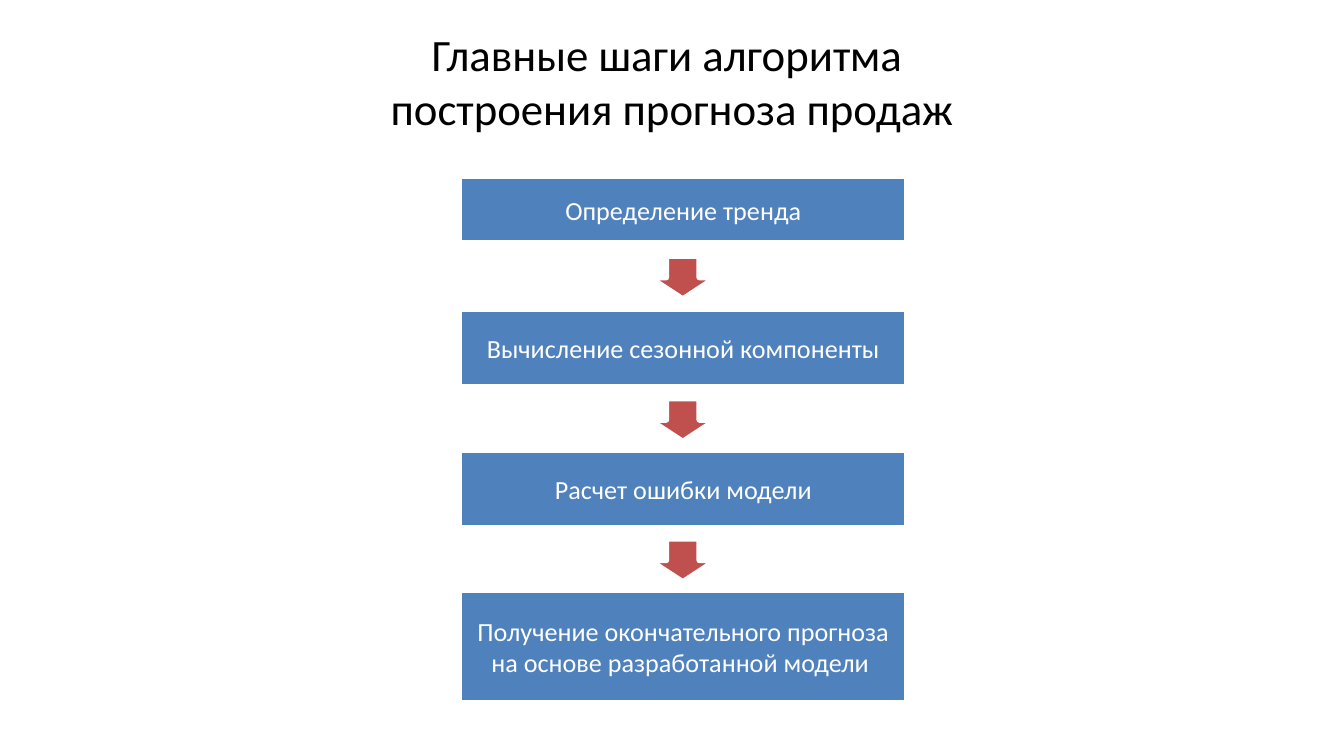
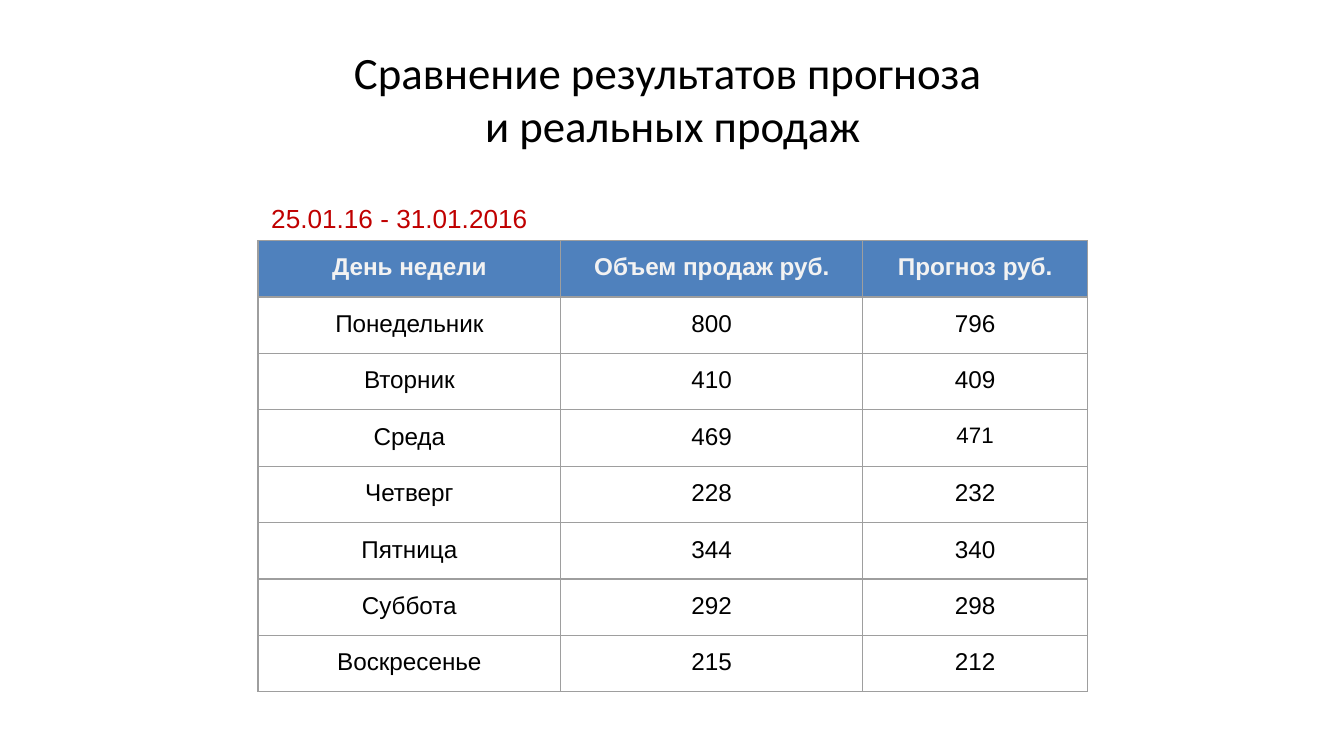
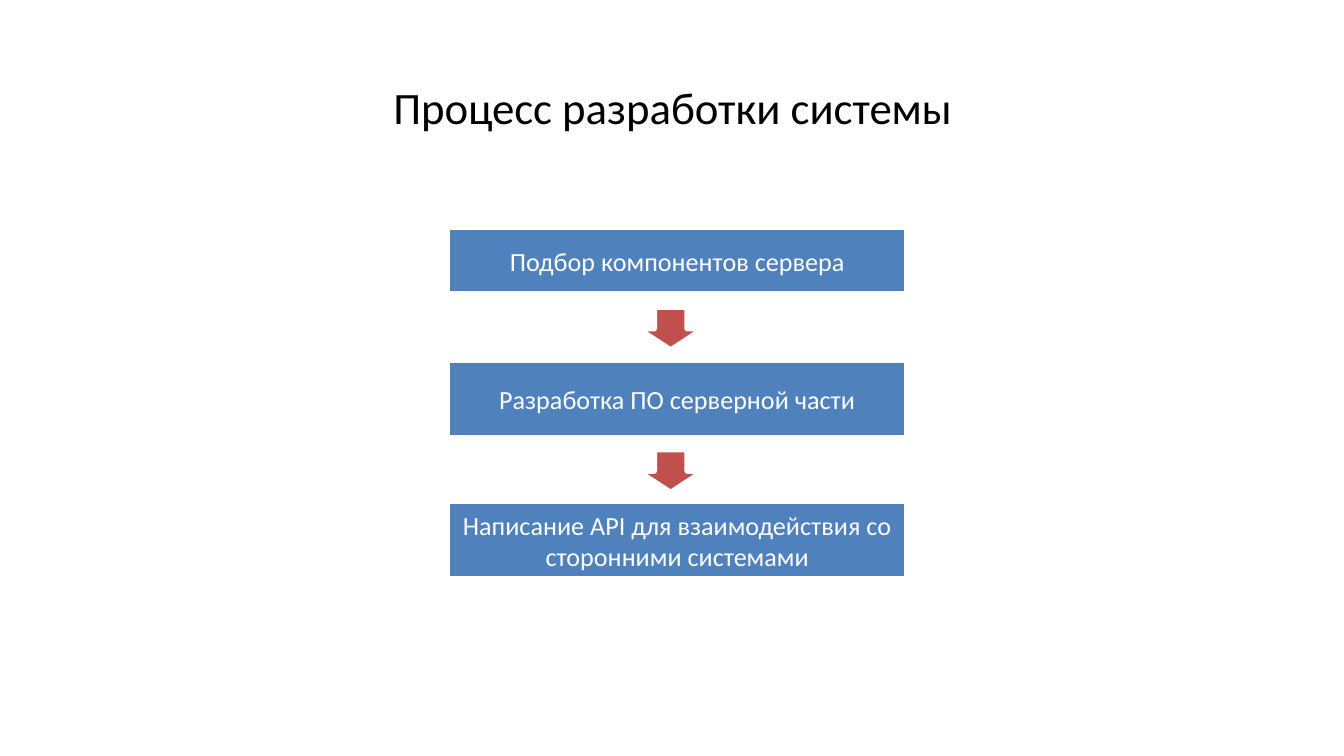
from lxml.etree import SubElement
from pptx import Presentation
from pptx.dml.color import RGBColor
from pptx.enum.shapes import MSO_SHAPE as Shape
from pptx.enum.text import MSO_ANCHOR as Anchor, MSO_AUTO_SIZE as AutoSize, PP_ALIGN as Align
from pptx.oxml.ns import qn
from pptx.util import Inches, Pt

COLORS = {
    "step": "4F81BD",
    "arrow": "C0504D",
    "white": "FFFFFF",
    "title": "000000",
    "body": "000000",
    "period": "C00000",
    "header": "F2F2F2",
    "grid": "9E9E9E",
}
HEAD_FONT, BODY_FONT = "Calibri", "Arial"
TITLE_ONLY = 5

STEP_ROWS = [(0, 0.5), (0.99, 0.58), (2.04, 0.58), (3.08, 0.84)]
ARROW_LENGTH, ARROW_WIDTH = 0.32, 0.49
ARROW_CENTER, ARROW_DROP = 1.66, 0.01

FORECAST_STEPS = [
    "Определение тренда",
    "Вычисление сезонной компоненты",
    "Расчет ошибки модели",
    "Получение окончательного прогноза на основе разработанной модели ",
]
SYSTEM_STEPS = [
    "Подбор компонентов сервера",
    "Разработка ПО серверной части",
    "Написание API для взаимодействия со сторонними системами",
]
SALES = [
    ("День недели", "Объем продаж руб.", "Прогноз руб."),
    ("Понедельник", "800", "796"),
    ("Вторник", "410", "409"),
    ("Среда", "469", "471"),
    ("Четверг", "228", "232"),
    ("Пятница", "344", "340"),
    ("Суббота", "292", "298"),
    ("Воскресенье", "215", "212"),
]
SALES_COLUMNS = [2.25, 2.25, 1.67]
SMALLER_VALUE = "471"


def rgb(role):
    """Return the colour that belongs to a role."""
    return RGBColor.from_string(COLORS[role])


def add_run(paragraph, text, size, face, role, bold=False):
    """Append one formatted run to a paragraph."""
    run = paragraph.add_run()
    run.text = text
    run.font.size = Pt(size)
    run.font.name = face
    run.font.bold = bold
    run.font.color.rgb = rgb(role)


def add_titled_slide(deck, lines, box, inset=0.1):
    """Add a slide whose title lines stand at the top of the box."""
    slide = deck.slides.add_slide(deck.slide_layouts[TITLE_ONLY])
    title = slide.shapes.title
    title.left, title.top, title.width, title.height = map(Inches, box)
    frame = title.text_frame
    frame.word_wrap = True
    frame.auto_size = AutoSize.NONE
    frame.vertical_anchor = Anchor.TOP
    frame.margin_left = frame.margin_right = Inches(0.1)
    frame.margin_top = frame.margin_bottom = Inches(inset)
    paragraph = frame.paragraphs[0]
    paragraph.alignment = Align.CENTER
    for index, line in enumerate(lines):
        if index:
            paragraph.add_line_break()
        add_run(paragraph, line, 24, HEAD_FONT, "title")
    return slide


def add_block(slide, preset, box, role):
    """Add a filled shape with a wide white outline."""
    block = slide.shapes.add_shape(preset, *map(Inches, box))
    block.shadow.inherit = False
    block.fill.solid()
    block.fill.fore_color.rgb = rgb(role)
    block.line.color.rgb = rgb("white")
    block.line.width = Pt(3)
    return block


def add_flow(slide, steps, left, top, width):
    """Stack the steps downwards with an arrow in the middle of each gap."""
    rows = STEP_ROWS[:len(steps)]
    for (offset, height), (next_offset, _) in zip(rows, rows[1:]):
        middle = top + (offset + height + next_offset) / 2 + ARROW_DROP
        arrow_box = (left + ARROW_CENTER - ARROW_LENGTH / 2, middle - ARROW_WIDTH / 2,
                     ARROW_LENGTH, ARROW_WIDTH)
        add_block(slide, Shape.RIGHT_ARROW, arrow_box, "arrow").rotation = 90
    for step, (offset, height) in zip(steps, rows):
        block = add_block(slide, Shape.RECTANGLE, (left, top + offset, width, height), "step")
        frame = block.text_frame
        frame.word_wrap = True
        frame.vertical_anchor = Anchor.MIDDLE
        paragraph = frame.paragraphs[0]
        paragraph.alignment = Align.CENTER
        add_run(paragraph, step, 14, HEAD_FONT, "white")


def set_borders(cell):
    """Draw thin grid lines on all four sides of a cell."""
    properties = cell._tc.get_or_add_tcPr()
    for position, side in enumerate(("a:lnL", "a:lnR", "a:lnT", "a:lnB")):
        border = properties.makeelement(qn(side), {"w": str(Pt(0.75))})
        fill = SubElement(border, qn("a:solidFill"))
        SubElement(fill, qn("a:srgbClr"), val=COLORS["grid"])
        properties.insert(position, border)


def add_sales_table(slide, left, top, row_height=0.42):
    """Add the table that sets sales beside the forecast."""
    frame = slide.shapes.add_table(
        len(SALES), len(SALES_COLUMNS), Inches(left), Inches(top),
        Inches(sum(SALES_COLUMNS)), Inches(row_height * len(SALES)))
    table = frame.table
    table.horz_banding = False
    for column, width in zip(table.columns, SALES_COLUMNS):
        column.width = Inches(width)
    for row_index, values in enumerate(SALES):
        table.rows[row_index].height = Inches(row_height)
        is_header = row_index == 0
        for column_index, value in enumerate(values):
            cell = table.cell(row_index, column_index)
            cell.margin_left = cell.margin_right = Inches(0.1)
            cell.margin_top = cell.margin_bottom = Inches(0.1)
            if is_header:
                cell.fill.solid()
                cell.fill.fore_color.rgb = rgb("step")
            else:
                cell.fill.background()
            set_borders(cell)
            paragraph = cell.text_frame.paragraphs[0]
            paragraph.alignment = Align.CENTER
            add_run(paragraph, value, 12 if value == SMALLER_VALUE else 13, BODY_FONT,
                    "header" if is_header else "body", is_header)


def add_period(slide, left, top, width, height):
    """Add the dates that the table covers."""
    period = slide.shapes.add_textbox(*map(Inches, (left, top, width, height)))
    period.text_frame.word_wrap = True
    period.text_frame.auto_size = AutoSize.SHAPE_TO_FIT_TEXT
    add_run(period.text_frame.paragraphs[0], "25.01.16 - 31.01.2016", 14, BODY_FONT, "period")


def main():
    """Build the three slides and save them."""
    deck = Presentation()
    deck.slide_width = Inches(10)
    deck.slide_height = deck.slide_width * 9 // 16

    forecast = add_titled_slide(
        deck, ["Главные шаги алгоритма ", "построения прогноза продаж"], (0, 0.15, 10, 0.91), 0.05)
    add_flow(forecast, FORECAST_STEPS, 3.42, 1.31, 3.33)

    comparison = add_titled_slide(
        deck, ["Сравнение результатов прогноза ", "и реальных продаж"], (0.34, 0.23, 9.33, 0.91))
    add_sales_table(comparison, 1.92, 1.79)
    add_period(comparison, 1.92, 1.46, 2.17, 0.34)

    development = add_titled_slide(
        deck, ["Процесс разработки системы"], (0.34, 0.49, 9.33, 0.63))
    add_flow(development, SYSTEM_STEPS, 3.33, 1.69, 3.42)

    deck.save("out.pptx")


if __name__ == "__main__":
    main()
